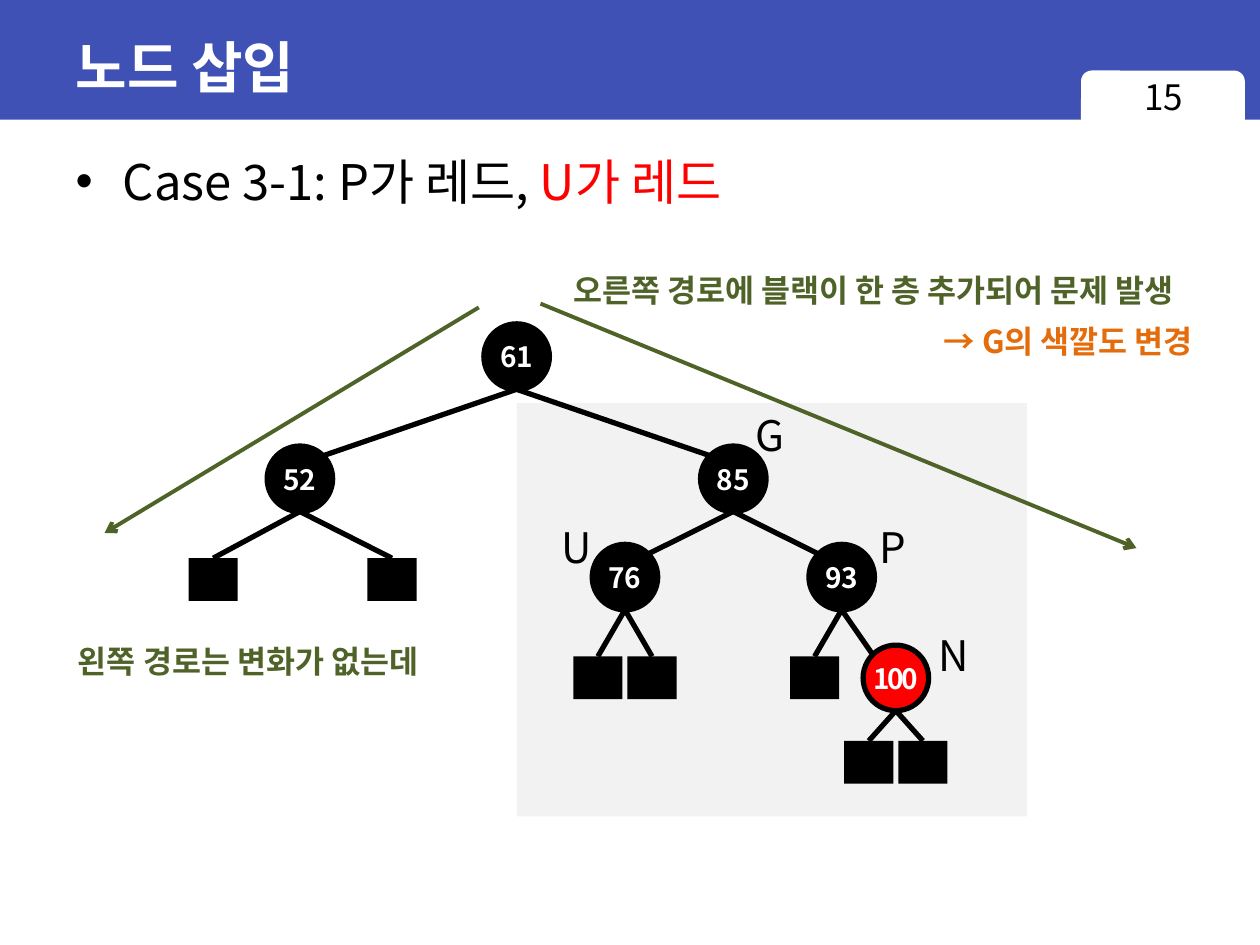
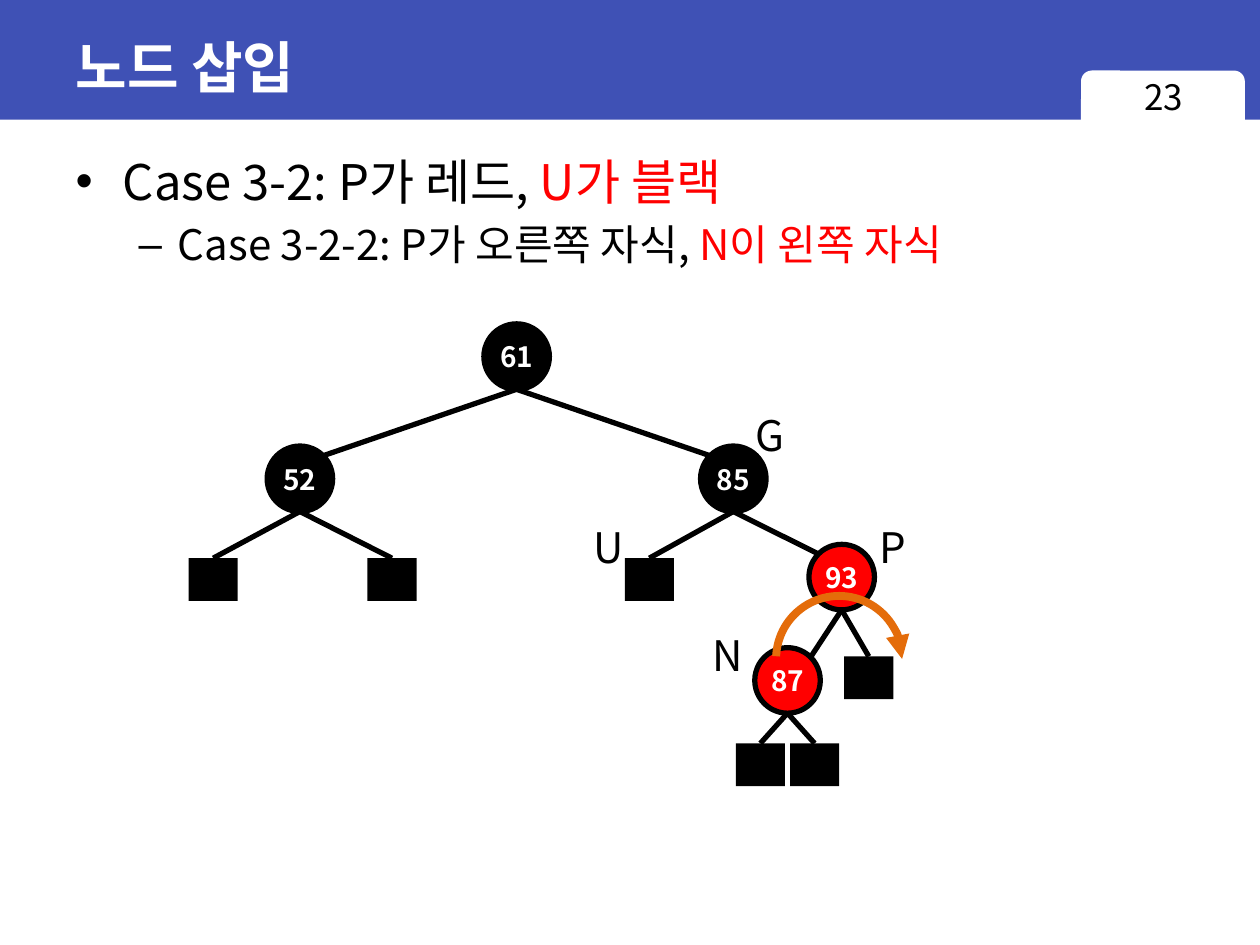
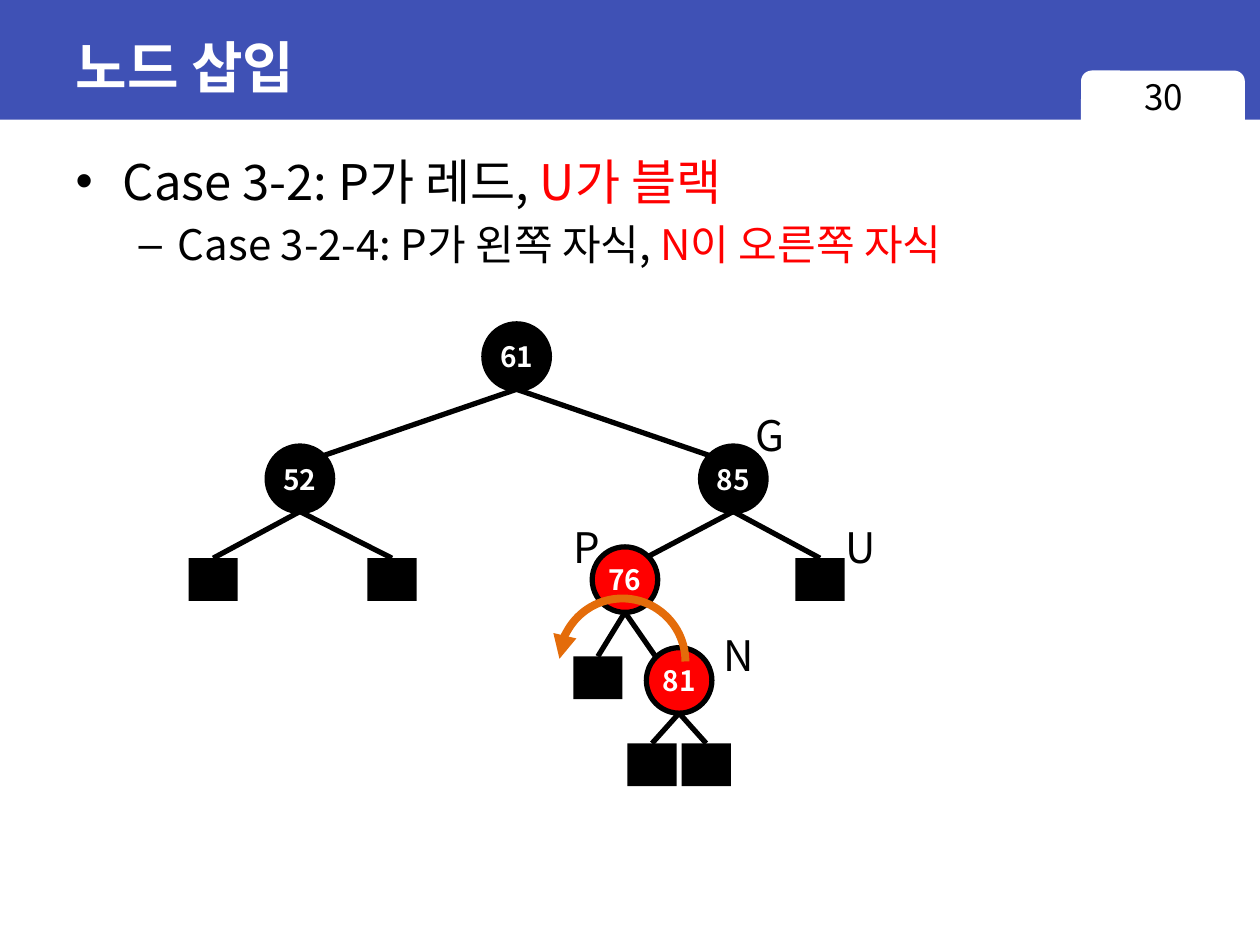
from dataclasses import dataclass

from lxml import etree
from pptx import Presentation
from pptx.dml.color import RGBColor
from pptx.enum.shapes import MSO_CONNECTOR, MSO_SHAPE
from pptx.enum.text import MSO_ANCHOR, MSO_AUTO_SIZE, PP_ALIGN
from pptx.oxml.ns import qn
from pptx.util import Inches, Pt

RECT, ROUND = MSO_SHAPE.RECTANGLE, MSO_SHAPE.ROUNDED_RECTANGLE
OVAL, ARC = MSO_SHAPE.OVAL, MSO_SHAPE.ARC
LEFT, CENTER = PP_ALIGN.LEFT, PP_ALIGN.CENTER


@dataclass(frozen=True)
class Theme:
    title_font: str = "Arial"
    font: str = "Noto Sans CJK KR"
    band: str = "3F51B5"
    white: str = "FFFFFF"
    black: str = "000000"
    red: str = "FF0000"
    green: str = "4F6228"
    orange: str = "E46C0A"
    panel: str = "F2F2F2"
    title: int = 32
    bullets: tuple = (28, 24)
    label: int = 24
    page: int = 20
    caption: int = 18
    node: int = 16


T = Theme()

# Content. A tree is (key, colour, column, left, right); a leaf is its column.
TITLE = "노드 삽입"
LEFT_TREE = (52, T.black, -4, -5.6, -2.3)
CASE_3_2 = ("Case 3-2: P가 레드, ", "U가 블랙")
SLIDES = [
    {
        "page": 15,
        "bullets": [("Case 3-1: P가 레드, ", "U가 레드")],
        "panel": (4.1, 3.2, 4.05, 3.28),
        "right": (85, T.black, 4,
                  (76, T.black, 2, 1.5, 2.5),
                  (93, T.black, 6, 5.5, (100, T.red, 7, 6.5, 7.5))),
        "tops": (2.57, 3.54, 4.32, 5.12),
        "labels": {"G": 5.9, "U": 4.36, "P": 6.88, "N": 7.35},
        "paths": [((3.8, 2.44), (0.83, 4.23)), ((4.29, 2.41), (9.02, 4.35))],
        "captions": [
            ("왼쪽 경로는 변화가 없는데", T.green, (0.52, 5.05, 3.25, 0.4)),
            ("오른쪽 경로에 블랙이 한 층 추가되어 문제 발생", T.green,
             (4.45, 2.1, 5.62, 0.4)),
            ("→ G의 색깔도 변경", T.orange, (7.39, 2.51, 2.41, 0.4)),
        ],
    },
    {
        "page": 23,
        "bullets": [CASE_3_2, ("Case 3-2-2: P가 오른쪽 자식, ", "N이 왼쪽 자식")],
        "right": (85, T.black, 4, 2.45,
                  (93, T.red, 6, (87, T.red, 5, 4.5, 5.5), 6.5)),
        "tops": (2.57, 3.54, 4.32, 5.14),
        "labels": {"G": 5.9, "U": 4.61, "P": 6.88, "N": 5.56},
        "rotation": (6.16, 4.73, "tailEnd"),
    },
    {
        "page": 30,
        "bullets": [CASE_3_2, ("Case 3-2-4: P가 왼쪽 자식, ", "N이 오른쪽 자식")],
        "right": (85, T.black, 4,
                  (76, T.red, 2, 1.5, (81, T.red, 3, 2.5, 3.5)), 5.6),
        "tops": (2.57, 3.54, 4.34, 5.14),
        "labels": {"G": 5.9, "U": 6.61, "P": 4.45, "N": 5.64},
        "rotation": (4.44, 4.75, "headEnd"),
    },
]

# Tree grid
ROOT_X, COL = 4.1, 0.43
NODE, LEAF_W, LEAF_H = 0.52, 0.39, 0.34
LEAF_TOPS = {2: 4.43, 3: 5.21}
LEAF_DROP = 0.76
DIAGONAL = 0.35 * NODE
LABEL_TOPS = {"G": 3.2, "U": 4.09, "P": 4.09, "N": 4.95}


def inches(values):
    return [Inches(v) for v in values]


def rgb(value):
    return RGBColor.from_string(value)


def add_run(p, text, size, color, bold=False, font=T.font):
    r = p.add_run()
    r.text = text
    r.font.color.rgb = rgb(color)
    for name, value in {"size": Pt(size), "bold": bold, "name": font}.items():
        setattr(r.font, name, value)
    ea = etree.SubElement(r.font._element, qn("a:ea")) if hasattr(r.font, "_element") \
        else etree.SubElement(r._r.get_or_add_rPr(), qn("a:ea"))
    ea.set("typeface", T.font)
    return r


def add_shape(s, kind, box, fill=None, line=None, width=3):
    sp = s.shapes.add_shape(kind, *inches(box))
    sp.shadow.inherit = False
    if fill:
        sp.fill.solid()
        sp.fill.fore_color.rgb = rgb(fill)
    else:
        sp.fill.background()
    if line:
        sp.line.color.rgb = rgb(line)
        sp.line.width = Pt(width)
    else:
        sp.line.fill.background()
    return sp


def add_arrowhead(sp, end, kind):
    etree.SubElement(sp.line._get_or_add_ln(), qn("a:" + end)).set("type", kind)


def add_line(s, start, end, color=T.black, width=3):
    line = s.shapes.add_connector(MSO_CONNECTOR.STRAIGHT, *inches(start + end))
    line.line.color.rgb = rgb(color)
    line.line.width = Pt(width)
    etree.SubElement(line.element.spPr, qn("a:effectLst"))
    return line


def add_text(s, text, box, size, color=T.black, bold=False, align=LEFT, fit=True):
    tf = s.shapes.add_textbox(*inches(box)).text_frame
    tf.word_wrap = not fit
    if fit:
        tf.auto_size = MSO_AUTO_SIZE.SHAPE_TO_FIT_TEXT
    p = tf.paragraphs[0]
    p.alignment = align
    add_run(p, text, size, color, bold)


def place(sp, box):
    sp.left, sp.top, sp.width, sp.height = inches(box)


def add_frame(s, layout):
    """Put the title band and the page tab on the layout."""
    for kind, box, fill in [(RECT, (0, 0, 10, 0.95), T.band),
                            (ROUND, (8.58, 0.56, 1.3, 0.51), T.white)]:
        layout.shapes.element.append(add_shape(s, kind, box, fill).element)


def add_heading(s, bullets, page):
    title, body = s.placeholders
    place(title, (0.5, 0.11, 9, 0.83))
    title.text_frame.vertical_anchor = MSO_ANCHOR.MIDDLE
    p = title.text_frame.paragraphs[0]
    p.alignment = LEFT
    add_run(p, TITLE, T.title, T.white, True, T.title_font)

    place(body, (0.5, 1.15, 9.38, 6.14))
    tf = body.text_frame
    for level, (plain, marked) in enumerate(bullets):
        p = tf.add_paragraph() if level else tf.paragraphs[0]
        p.level = level
        add_run(p, plain, T.bullets[level], T.black)
        add_run(p, marked, T.bullets[level], T.red)
    add_text(s, str(page), (8.58, 0.55, 1.31, 0.52), T.page, align=CENTER, fit=False)


def add_node(s, key, color, x, top):
    sp = add_shape(s, OVAL, (x - NODE / 2, top, NODE, NODE), color, T.black)
    tf = sp.text_frame
    for name, value in {"margin_left": 0, "margin_right": 0, "word_wrap": True,
                        "vertical_anchor": MSO_ANCHOR.MIDDLE}.items():
        setattr(tf, name, value)
    p = tf.paragraphs[0]
    p.alignment = CENTER
    r = add_run(p, str(key), T.node, T.white, True)
    if key >= 100:
        r._r.get_or_add_rPr().set("spc", "-150")


def add_tree(s, tree, tops, depth=0, parent=None):
    """Draw a subtree and the edge that leads to it from its parent."""
    is_leaf = not isinstance(tree, tuple)
    x = ROOT_X + COL * (tree if is_leaf else tree[2])
    if is_leaf:
        top = LEAF_TOPS.get(depth, tops[-1] + LEAF_DROP)
        add_shape(s, RECT, (x - LEAF_W / 2, top, LEAF_W, LEAF_H), T.black)
        joint = (x, top)
    else:
        top = tops[depth]
        add_node(s, tree[0], tree[1], x, top)
        side = 1 if parent and parent[0] > x else -1
        joint = (x + side * DIAGONAL, top + NODE / 2 - DIAGONAL)
        for child in tree[3:]:
            add_tree(s, child, tops, depth + 1, (x, top + NODE))
    if parent:
        add_line(s, parent, joint)


def add_rotation(s, left, top, end):
    sp = add_shape(s, ARC, (left, top, 1, 1), line=T.orange, width=4.5)
    sp.adjustments[0], sp.adjustments[1] = 109.46, 0
    add_arrowhead(sp, end, "triangle")


def main():
    prs = Presentation()
    prs.slide_width, prs.slide_height = inches((10, 7.5))
    layout = prs.slide_layouts[1]
    for i, data in enumerate(SLIDES):
        s = prs.slides.add_slide(layout)
        if i == 0:
            add_frame(s, layout)
        add_heading(s, data["bullets"], data["page"])
        if "panel" in data:
            add_shape(s, RECT, data["panel"], T.panel)

        # Tree and the roles of its nodes
        add_tree(s, (61, T.black, 0, LEFT_TREE, data["right"]), data["tops"])
        for name, left in data["labels"].items():
            add_text(s, name, (left, LABEL_TOPS[name], 0.44, 0.5), T.label)

        # Notes on the tree
        for start, end in data.get("paths", []):
            add_arrowhead(add_line(s, start, end, T.green, 2.25), "tailEnd", "arrow")
        for text, color, box in data.get("captions", []):
            add_text(s, text, box, T.caption, color, True)
        if "rotation" in data:
            add_rotation(s, *data["rotation"])
    prs.save("out.pptx")


if __name__ == "__main__":
    main()
